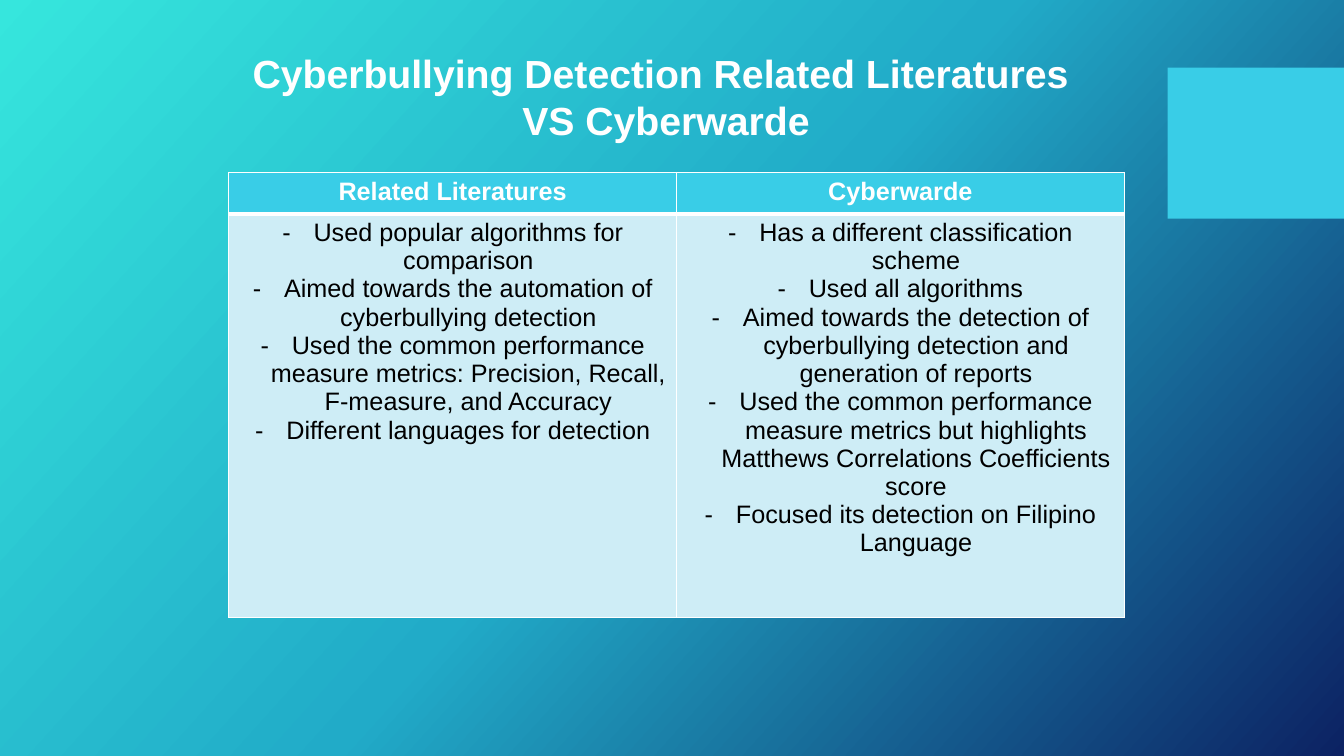
from copy import deepcopy

from lxml import etree
from pptx import Presentation
from pptx.dml.color import RGBColor
from pptx.enum.shapes import MSO_SHAPE as Shape
from pptx.enum.text import MSO_ANCHOR as Anchor, MSO_AUTO_SIZE as AutoSize, PP_ALIGN as Align
from pptx.oxml.ns import qn
from pptx.util import Inches, Pt

WHITE = RGBColor(0xFF, 0xFF, 0xFF)
BLACK = RGBColor(0x00, 0x00, 0x00)
CYAN = RGBColor(0x39, 0xCD, 0xE7)
PALE = RGBColor(0xCE, 0xED, 0xF6)
TURQUOISE = RGBColor(0x36, 0xE6, 0xDD)
TEAL = RGBColor(0x21, 0xAB, 0xC8)
NAVY = RGBColor(0x0C, 0x22, 0x63)

TITLE = "Cyberbullying Detection Related Literatures \nVS Cyberwarde"
COMPARISON = {
    "Related Literatures": [
        "Used popular algorithms for comparison",
        "Aimed towards the automation of cyberbullying detection",
        "Used the common performance measure metrics: Precision, Recall, "
        "F-measure, and Accuracy",
        "Different languages for detection",
    ],
    "Cyberwarde": [
        "Has a different classification scheme",
        "Used all algorithms",
        "Aimed towards the detection of cyberbullying detection and "
        "generation of reports",
        "Used the common performance measure metrics but highlights "
        "Matthews Correlations Coefficients score",
        "Focused its detection on Filipino Language",
    ],
}


class Deck:
    font = "Arial"
    indent = Inches(0.31)

    def __init__(self):
        self.prs = Presentation()
        self.prs.slide_width, self.prs.slide_height = Inches(13.33), Inches(7.5)
        self.s = self.prs.slides.add_slide(self.prs.slide_layouts[5])

    def background(self, colors, angle):
        """Spread the colours evenly over a linear gradient, angle clockwise."""
        fill = self.s.background.fill
        fill.gradient()
        fill.gradient_angle = 360 - angle
        stops = self.s.element.find(".//" + qn("a:gsLst"))
        while len(stops) < len(colors):
            stops.append(deepcopy(stops[-1]))
        for i, (stop, color) in enumerate(zip(fill.gradient_stops, colors)):
            stop.position = i / (len(colors) - 1)
            stop.color.rgb = color

    def set_text(self, tf, text, size, color, bold):
        tf.text = text
        for p in tf.paragraphs:
            p.alignment = Align.CENTER
            for r in p.runs:
                r.font.name, r.font.size = self.font, Pt(size)
                r.font.bold, r.font.color.rgb = bold, color

    def title(self, text, *box):
        sp = self.s.shapes.title
        sp.left, sp.top, sp.width, sp.height = map(Inches, box)
        tf = sp.text_frame
        tf.word_wrap, tf.auto_size = False, AutoSize.SHAPE_TO_FIT_TEXT
        tf.vertical_anchor = Anchor.TOP
        self.set_text(tf, text, 28, WHITE, True)

    def block(self, color, *box):
        sp = self.s.shapes.add_shape(Shape.RECTANGLE, *map(Inches, box))
        sp.shadow.inherit = False
        sp.fill.solid()
        sp.fill.fore_color.rgb = color
        sp.line.fill.background()

    def bullets(self, tf):
        for p in tf.paragraphs:
            pPr = p._p.get_or_add_pPr()
            pPr.set("marL", str(self.indent))
            pPr.set("indent", str(-self.indent))
            etree.SubElement(pPr, qn("a:buFont")).set("typeface", self.font)
            etree.SubElement(pPr, qn("a:buChar")).set("char", "-")

    def borders(self, cell, **widths):
        tcPr = cell._tc.get_or_add_tcPr()
        for i, side in enumerate("LRTB"):
            ln = etree.Element(qn("a:ln" + side), w=str(Pt(widths.get(side, 1))))
            fill = etree.SubElement(ln, qn("a:solidFill"))
            etree.SubElement(fill, qn("a:srgbClr")).set("val", str(WHITE))
            tcPr.insert(i, ln)

    def cell(self, cell, text, fill, color, bold=False):
        cell.fill.solid()
        cell.fill.fore_color.rgb = fill
        self.set_text(cell.text_frame, text, 18, color, bold)

    def table(self, columns, left, top, col_width, row_heights):
        """Draw one column per heading, with its points as a bulleted cell."""
        table = self.s.shapes.add_table(
            2, len(columns), Inches(left), Inches(top),
            Inches(col_width * len(columns)), Inches(sum(row_heights))).table
        for row, height in zip(table.rows, row_heights):
            row.height = Inches(height)
        for i, (heading, points) in enumerate(columns.items()):
            table.columns[i].width = Inches(col_width)
            head, body = table.cell(0, i), table.cell(1, i)
            self.cell(head, heading, CYAN, WHITE, True)
            self.borders(head, B=3)
            self.cell(body, "\n".join(points), PALE, BLACK)
            self.bullets(body.text_frame)
            self.borders(body, T=3)


def main():
    deck = Deck()
    deck.background([TURQUOISE, TEAL, NAVY], 42)
    deck.block(CYAN, 11.58, 0.67, 1.75, 1.5)
    deck.table(COMPARISON, 2.27, 1.71, 4.44, [0.41, 4.01])
    deck.title(TITLE, 2.35, 0.44, 8.51, 1.04)
    deck.prs.save("out.pptx")


if __name__ == "__main__":
    main()
